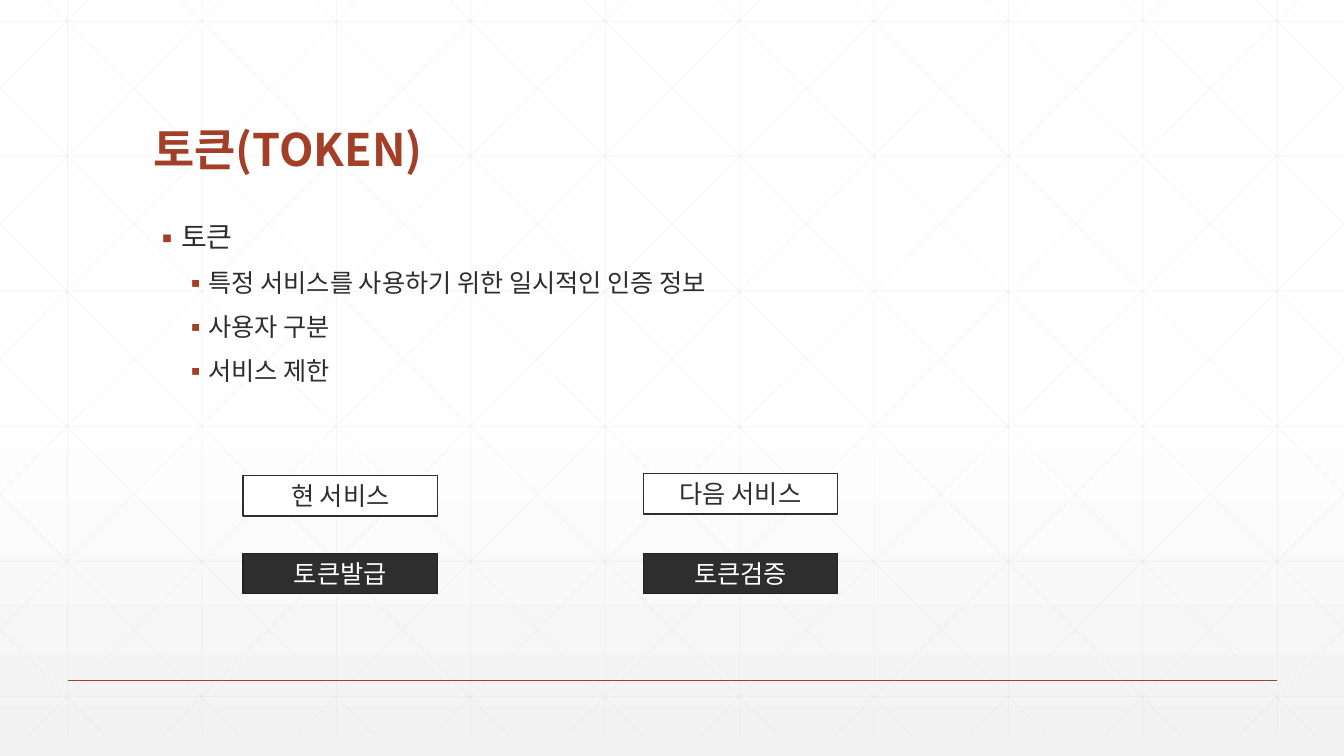
from lxml.etree import SubElement
from pptx import Presentation
from pptx.dml.color import RGBColor
from pptx.enum.shapes import MSO_CONNECTOR, MSO_SHAPE
from pptx.enum.text import MSO_ANCHOR, PP_ALIGN
from pptx.oxml.ns import qn
from pptx.util import Inches, Pt

COLORS = {
    "white": "FFFFFF",
    "shade": "F2F2F2",
    "grid": "D9D9D9",
    "accent": "A43F27",
    "dark": "2D2E2D",
    "dark_edge": "212221",
}
KOREAN_FONT = "Noto Sans CJK KR"
WIDTH, HEIGHT = 13.33, 7.5
GRID_TOP, GRID_BOTTOM = -0.21, 7.29
GRID_STEP = 4 / 3
DIAGONAL_RUN = 7.455


def rgb(name):
    return RGBColor.from_string(COLORS[name])


def set_background(slide):
    fill = slide.background.fill
    fill.gradient()
    fill.gradient_angle = 270
    stops = fill._fill._gradFill.find(qn("a:gsLst"))
    for stop in list(stops):
        stops.remove(stop)
    for position, name in ((0, "white"), (53, "white"), (100, "shade")):
        stop = SubElement(stops, qn("a:gs"), pos=str(position * 1000))
        SubElement(stop, qn("a:srgbClr"), val=COLORS[name])


def add_line(slide, start, end, color, weight, opacity=100):
    points = [Inches(value) for value in (*start, *end)]
    line = slide.shapes.add_connector(MSO_CONNECTOR.STRAIGHT, *points)
    line.line.color.rgb = rgb(color)
    line.line.width = Pt(weight)
    properties = line._element.spPr
    if opacity < 100:
        color_element = properties.find(".//" + qn("a:srgbClr"))
        SubElement(color_element, qn("a:alpha"), val=str(opacity * 1000))
    SubElement(properties, qn("a:effectLst"))


def add_grid(slide):
    def grid_line(start, end):
        add_line(slide, start, end, "grid", 0.5, 25)

    for column in range(10):
        x = 0.67 + column * GRID_STEP
        grid_line((x, GRID_TOP), (x, GRID_BOTTOM))
    for row in range(6):
        y = 0.21 + row * 1.34
        grid_line((0, y), (WIDTH, y))
    slope = (GRID_BOTTOM - GRID_TOP) / DIAGONAL_RUN
    for index in range(-5, 10):
        origin = 0.25 + index * GRID_STEP
        left, right = max(origin, 0), min(origin + DIAGONAL_RUN, WIDTH)
        top, bottom = (GRID_TOP + (x - origin) * slope for x in (left, right))
        grid_line((left, top), (right, bottom))
        grid_line((WIDTH - left, top), (WIDTH - right, bottom))


def format_runs(paragraph, size, color, font=KOREAN_FONT, bold=False):
    for run in paragraph.runs:
        run.font.size = Pt(size)
        run.font.name = font
        run.font.bold = bold
        run.font.color.rgb = rgb(color)
        latin = run.font._element.find(qn("a:latin"))
        latin.addnext(latin.makeelement(qn("a:ea"), typeface=KOREAN_FONT))


def add_text_box(slide, left, top, width, height):
    box = slide.shapes.add_textbox(*map(Inches, (left, top, width, height)))
    box.text_frame.word_wrap = True
    return box.text_frame


def add_title(slide, text):
    frame = add_text_box(slide, 1.42, 0.55, 10.5, 1.25)
    frame.vertical_anchor = MSO_ANCHOR.BOTTOM
    paragraph = frame.paragraphs[0]
    paragraph.text = text
    paragraph.line_spacing = 0.9
    format_runs(paragraph, 32, "accent", bold=True)


def set_bullet(paragraph, margin, indent):
    properties = paragraph._p.get_or_add_pPr()
    properties.set("marL", str(Inches(margin)))
    properties.set("indent", str(Inches(indent)))
    bullet_color = SubElement(properties, qn("a:buClr"))
    SubElement(bullet_color, qn("a:srgbClr"), val=COLORS["accent"])
    SubElement(properties, qn("a:buFont"), typeface=KOREAN_FONT)
    SubElement(properties, qn("a:buChar"), char="▪")


def add_bullets(slide, items):
    frame = add_text_box(slide, 1.42, 2.17, 10.5, 4.17)
    frame.text = "\n".join(text for text, level in items)
    for paragraph, (text, level) in zip(frame.paragraphs, items):
        paragraph.level = level
        paragraph.line_spacing = 0.9
        paragraph.space_before = Pt(12 if level else 0)
        set_bullet(paragraph, *((0.5, -0.2) if level else (0.25, -0.25)))
        format_runs(paragraph, 18 if level else 20, "dark")


def add_service_box(slide, left, top, text, fill, edge, color):
    bounds = map(Inches, (left, top, 1.93, 0.4))
    shape = slide.shapes.add_shape(MSO_SHAPE.RECTANGLE, *bounds)
    shape.shadow.inherit = False
    shape.fill.solid()
    shape.fill.fore_color.rgb = rgb(fill)
    shape.line.color.rgb = rgb(edge)
    shape.line.width = Pt(1)
    frame = shape.text_frame
    frame.word_wrap = True
    frame.vertical_anchor = MSO_ANCHOR.MIDDLE
    frame.text = text
    paragraph = frame.paragraphs[0]
    paragraph.alignment = PP_ALIGN.CENTER
    format_runs(paragraph, 18, color, font="Arial")


def main():
    presentation = Presentation()
    presentation.slide_width = Inches(WIDTH)
    presentation.slide_height = Inches(HEIGHT)
    slide = presentation.slides.add_slide(presentation.slide_layouts[6])
    set_background(slide)
    add_grid(slide)
    add_line(slide, (0.67, 6.75), (12.67, 6.75), "accent", 1)
    add_title(slide, "토큰(TOKEN)")
    add_bullets(slide, [
        ("토큰", 0),
        ("특정 서비스를 사용하기 위한 일시적인 인증 정보", 1),
        ("사용자 구분", 1),
        ("서비스 제한", 1),
    ])
    for left, top, service, action in (
        (2.41, 4.72, "현 서비스", "토큰발급"),
        (6.38, 4.7, "다음 서비스", "토큰검증"),
    ):
        add_service_box(slide, left, top, service, "white", "dark", "dark")
        add_service_box(slide, left, 5.49, action, "dark", "dark_edge", "white")
    presentation.save("out.pptx")


if __name__ == "__main__":
    main()
